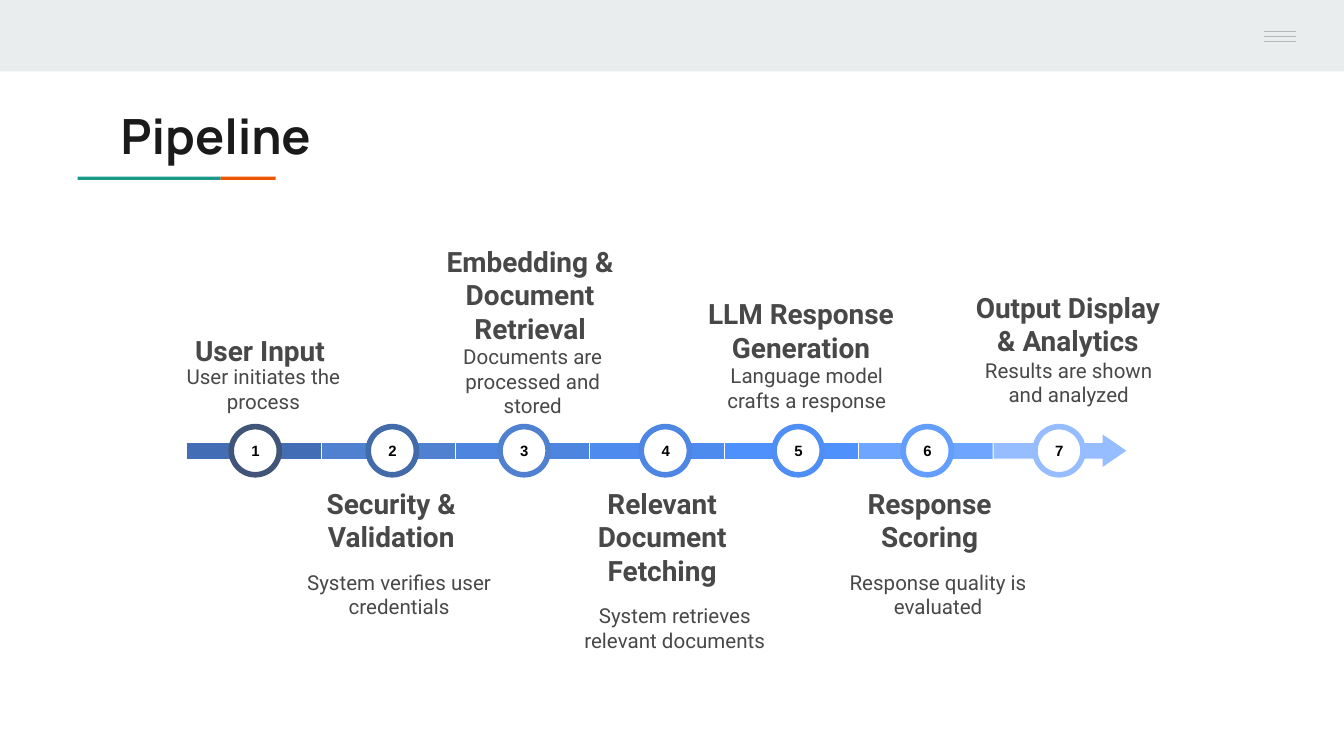
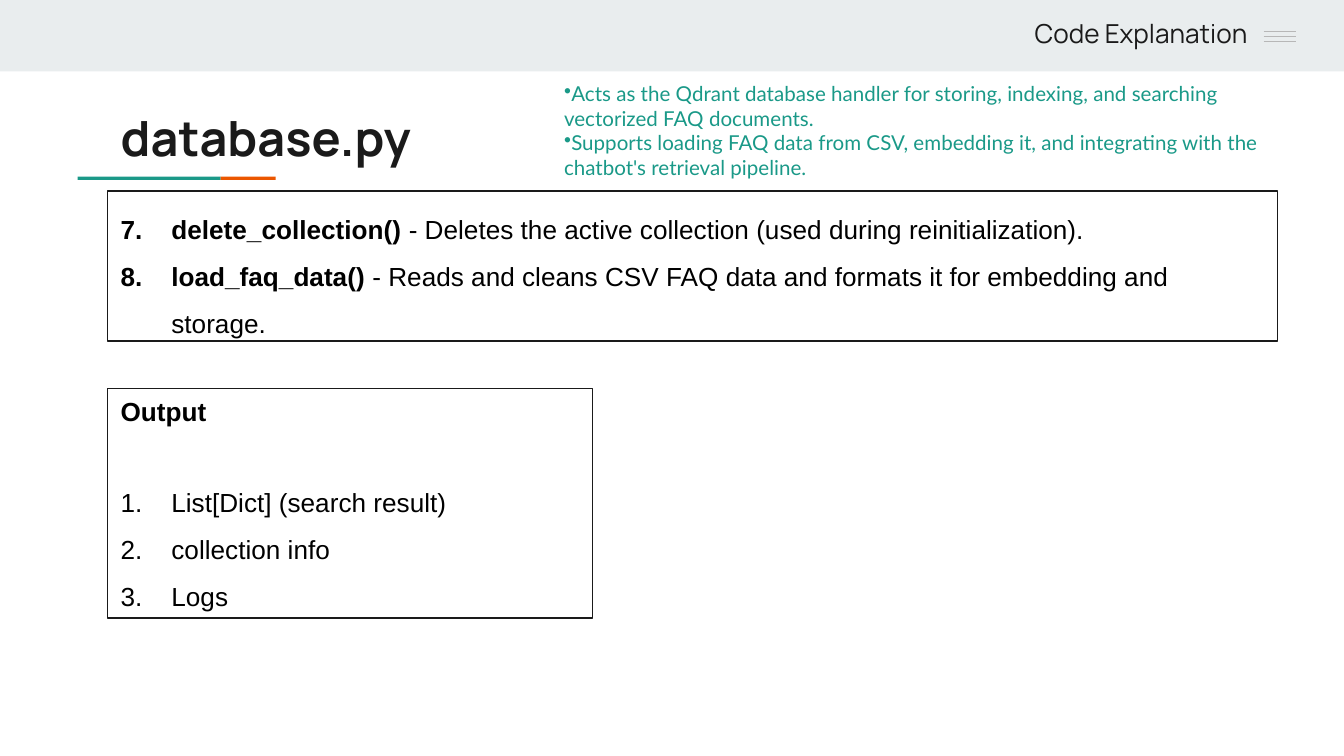
from lxml.etree import SubElement
from pptx import Presentation
from pptx.dml.color import RGBColor
from pptx.enum.shapes import MSO_CONNECTOR, MSO_SHAPE as Shape
from pptx.enum.text import MSO_ANCHOR as Anchor, MSO_AUTO_SIZE as AutoSize, PP_ALIGN as Align
from pptx.oxml.ns import qn
from pptx.util import Cm, Pt

# Shared look
WHITE, BLACK, INK, GREY = "FFFFFF", "000000", "1A1A1A", "484848"
BAND, TEAL, ORANGE, MENU = "E9EDEE", "1A9988", "EB5600", "B7B7B7"
INSET = 0.25
TITLE_FONT, STEP_FONT, LIST_FONT, NOTE_FONT = "Manrope", "Roboto", "Arial", "Lato"

# Pipeline: segment colour, ring colour, circle left,
# then text, left, top and width of heading and detail
STEPS = [
    ("436EB5", "405578", 4.37, ("User Input", 3.58, 6.3, 2.67),
     ("User initiates the\vprocess", 3.28, 6.88, 3.4)),
    ("5081D0", "436AA9", 6.96, ("Security &\vValidation", 6.05, 9.19, 2.69),
     ("System verifies user\vcredentials", 5.54, 10.77, 4.01)),
    ("4E86DF", "5081D0", 9.45, ("Embedding &\vDocument\vRetrieval", 8.23, 4.62, 3.58),
     ("Documents are\vprocessed and\vstored", 8.48, 6.5, 3.18)),
    ("4E8BEE", "4E87E3", 12.12, ("Relevant\vDocument\vFetching", 11.13, 9.19, 2.77),
     ("System retrieves\vrelevant documents", 10.67, 11.4, 4.17)),
    ("4F91FC", "4E8EF5", 14.63, ("LLM Response\vGeneration", 13.16, 5.61, 3.96),
     ("Language model\vcrafts a response", 13.41, 6.86, 3.68)),
    ("6DA5FF", "639EFF", 17.07, ("Response\vScoring", 16.26, 9.19, 2.62),
     ("Response quality is\vevaluated", 15.75, 10.77, 3.96)),
    ("95BDFF", "95BDFF", 19.56, ("Output Display\v& Analytics", 18.24, 5.49, 3.89),
     ("Results are shown\vand analyzed", 18.36, 6.76, 3.68)),
]
AXIS_LEFT, AXIS_MIDDLE, SEGMENT, HALF_BAR = 3.53, 8.52, 2.54, 0.16
HEAD_START, HALF_HEAD, CIRCLE = 2.06, 0.33, 0.91

# Database slide
SUMMARY = [
    "Acts as the Qdrant database handler for storing, indexing, and searching "
    "vectorized FAQ documents.",
    "Supports loading FAQ data from CSV, embedding it, and integrating with the "
    "chatbot's retrieval pipeline.",
]
FUNCTIONS = [
    ("delete_collection() ", "- Deletes the active collection (used during reinitialization)."),
    ("load_faq_data() ",
     "- Reads and cleans CSV FAQ data and formats it for embedding and storage."),
]
OUTPUTS = ["List[Dict] (search result)", "collection info", "Logs"]


def color(value):
    return RGBColor.from_string(value)


def format_run(run, font, size, ink, bold=False):
    run.font.name, run.font.size, run.font.bold = font, Pt(size), bold
    run.font.color.rgb = color(ink)


def set_inset(frame, inset):
    frame.margin_left = frame.margin_right = Cm(inset)
    frame.margin_top = frame.margin_bottom = Cm(inset)


def paint(shape, fill=None, line=None, width=0.75):
    shape.shadow.inherit = False
    if fill:
        shape.fill.solid()
        shape.fill.fore_color.rgb = color(fill)
    else:
        shape.fill.background()
    if line:
        shape.line.color.rgb = color(line)
        shape.line.width = Pt(width)
    else:
        shape.line.fill.background()
    return shape


def add_box(slide, kind, box, **look):
    return paint(slide.shapes.add_shape(kind, *map(Cm, box)), **look)


def add_text(slide, box, text, font, size, ink, bold=False, align=Align.LEFT,
             inset=INSET, wrap=True):
    shape = slide.shapes.add_textbox(*map(Cm, box))
    frame = shape.text_frame
    frame.text = text
    frame.word_wrap = wrap
    set_inset(frame, inset)
    for paragraph in frame.paragraphs:
        paragraph.alignment = align
        for run in paragraph.runs:
            format_run(run, font, size, ink, bold)
    return shape


def add_number(paragraph, start=1):
    properties = paragraph._p.get_or_add_pPr()
    properties.set("marL", str(Cm(0.96)))
    properties.set("indent", str(Cm(-0.96)))
    bullet_color = SubElement(properties, qn("a:buClr"))
    SubElement(bullet_color, qn("a:srgbClr"), val=BLACK)
    SubElement(properties, qn("a:buAutoNum"), type="arabicPeriod", startAt=str(start))
    paragraph.line_spacing = 1.5


def add_framed_text(slide, box):
    shape = add_box(slide, Shape.RECTANGLE, box, line=INK)
    frame = shape.text_frame
    frame.word_wrap = True
    frame.vertical_anchor = Anchor.TOP
    frame.auto_size = AutoSize.SHAPE_TO_FIT_TEXT
    return frame


def add_item(frame, first, parts):
    """Append a paragraph of (text, bold) parts to a framed list."""
    paragraph = frame.paragraphs[0] if first else frame.add_paragraph()
    paragraph.alignment = Align.LEFT
    for text, bold in parts:
        run = paragraph.add_run()
        run.text = text
        format_run(run, LIST_FONT, 14, BLACK, bold)
    return paragraph


def decorate_layout(layout, slide):
    """Draw the band, title underline and menu mark, then move them to the layout."""
    parts = [
        add_box(slide, Shape.RECTANGLE, box, fill=fill)
        for box, fill in [
            ((0, 0, 25.4, 1.35), BAND),
            ((1.47, 3.34, 2.7, 0.06), TEAL),
            ((4.17, 3.34, 1.04, 0.06), ORANGE),
            ((23.01, 0, 2.39, 1.27), BAND),
        ]
    ]
    for index in range(3):
        y = Cm(0.6 + 0.09 * index)
        line = slide.shapes.add_connector(MSO_CONNECTOR.STRAIGHT, Cm(23.88), y, Cm(24.49), y)
        line.line.color.rgb = color(MENU)
        line.line.width = Pt(0.75)
        SubElement(line._element.spPr, qn("a:effectLst"))
        parts.append(line)
    for part in parts:
        layout.shapes._spTree.append(part._element)


def set_title(slide, text, top):
    title = slide.shapes.title
    title.left, title.top, title.width, title.height = map(Cm, (2.03, top, 21.36, 1.5))
    frame = title.text_frame
    frame.text = text
    frame.auto_size = AutoSize.NONE
    frame.vertical_anchor = Anchor.TOP
    set_inset(frame, INSET)
    paragraph = frame.paragraphs[0]
    paragraph.alignment = Align.LEFT
    format_run(paragraph.runs[0], TITLE_FONT, 26, INK, True)


def add_segment(slide, index, fill, is_last):
    left = AXIS_LEFT + index * SEGMENT
    right = left + SEGMENT
    top, bottom = AXIS_MIDDLE - HALF_BAR, AXIS_MIDDLE + HALF_BAR
    if is_last:
        neck = left + HEAD_START
        points = [(left, top), (neck, top), (neck, AXIS_MIDDLE - HALF_HEAD),
                  (right, AXIS_MIDDLE), (neck, AXIS_MIDDLE + HALF_HEAD),
                  (neck, bottom), (left, bottom)]
    else:
        points = [(left, top), (right, top), (right, bottom), (left, bottom)]
    corners = [(Cm(x), Cm(y)) for x, y in points]
    builder = slide.shapes.build_freeform(*corners[0])
    builder.add_line_segments(corners[1:])
    paint(builder.convert_to_shape(), fill=fill, line=WHITE, width=0.56)


def add_label(slide, label, size, line_height, bold):
    text, left, top, width = label
    height = line_height * (text.count("\v") + 1)
    shape = add_text(slide, (left, top, width, height), text, STEP_FONT, size, GREY, bold,
                     Align.CENTER, inset=0, wrap=False)
    shape.text_frame.auto_size = AutoSize.SHAPE_TO_FIT_TEXT


def add_circle(slide, number, left, ring):
    box = (left, AXIS_MIDDLE - CIRCLE / 2, CIRCLE, CIRCLE)
    circle = add_box(slide, Shape.OVAL, box, fill=WHITE, line=ring, width=3)
    frame = circle.text_frame
    frame.text = str(number)
    frame.vertical_anchor = Anchor.MIDDLE
    set_inset(frame, INSET)
    frame.paragraphs[0].alignment = Align.CENTER
    format_run(frame.paragraphs[0].runs[0], LIST_FONT, 8, BLACK, True)


def build_pipeline(slide):
    set_title(slide, "Pipeline", 1.75)
    for index, step in enumerate(STEPS):
        add_segment(slide, index, step[0], index == len(STEPS) - 1)
    for number, (_, ring, left, heading, detail) in enumerate(STEPS, 1):
        add_label(slide, heading, 15, 0.78, True)
        add_label(slide, detail, 11, 0.56, False)
        add_circle(slide, number, left, ring)


def build_database(slide):
    set_title(slide, "database.py", 1.8)

    # Summary beside the title
    summary = add_text(slide, (10.41, 1.4, 14.48, 2.13), "\n".join(SUMMARY),
                       NOTE_FONT, 11, TEAL).text_frame
    summary.margin_top = summary.margin_bottom = Cm(0.13)
    summary.vertical_anchor = Anchor.MIDDLE
    summary.auto_size = AutoSize.SHAPE_TO_FIT_TEXT
    for paragraph in summary.paragraphs:
        SubElement(paragraph._p.get_or_add_pPr(), qn("a:buChar"), char="•")

    # Functions
    functions = add_framed_text(slide, (2.03, 3.61, 22.12, 2.84))
    for index, (name, purpose) in enumerate(FUNCTIONS):
        paragraph = add_item(functions, index == 0, [(name, True), (purpose, False)])
        add_number(paragraph, start=7)

    # Section name in the band
    add_text(slide, (13.06, 0.08, 10.77, 1.09), "Code Explanation",
             TITLE_FONT, 14, INK, align=Align.RIGHT)

    # Outputs
    outputs = add_framed_text(slide, (2.03, 7.34, 9.17, 4.34))
    add_item(outputs, True, [("Output", True)])
    for index, output in enumerate(OUTPUTS):
        paragraph = add_item(outputs, False, [(output, False)])
        add_number(paragraph)
        if index == 0:
            paragraph.space_before = Pt(24)


def main():
    presentation = Presentation()
    presentation.slide_width, presentation.slide_height = Cm(25.4), Cm(14.29)
    layout = presentation.slide_layouts[5]
    for index, build in enumerate((build_pipeline, build_database)):
        slide = presentation.slides.add_slide(layout)
        if index == 0:
            decorate_layout(layout, slide)
        build(slide)
    presentation.save("out.pptx")


if __name__ == "__main__":
    main()
